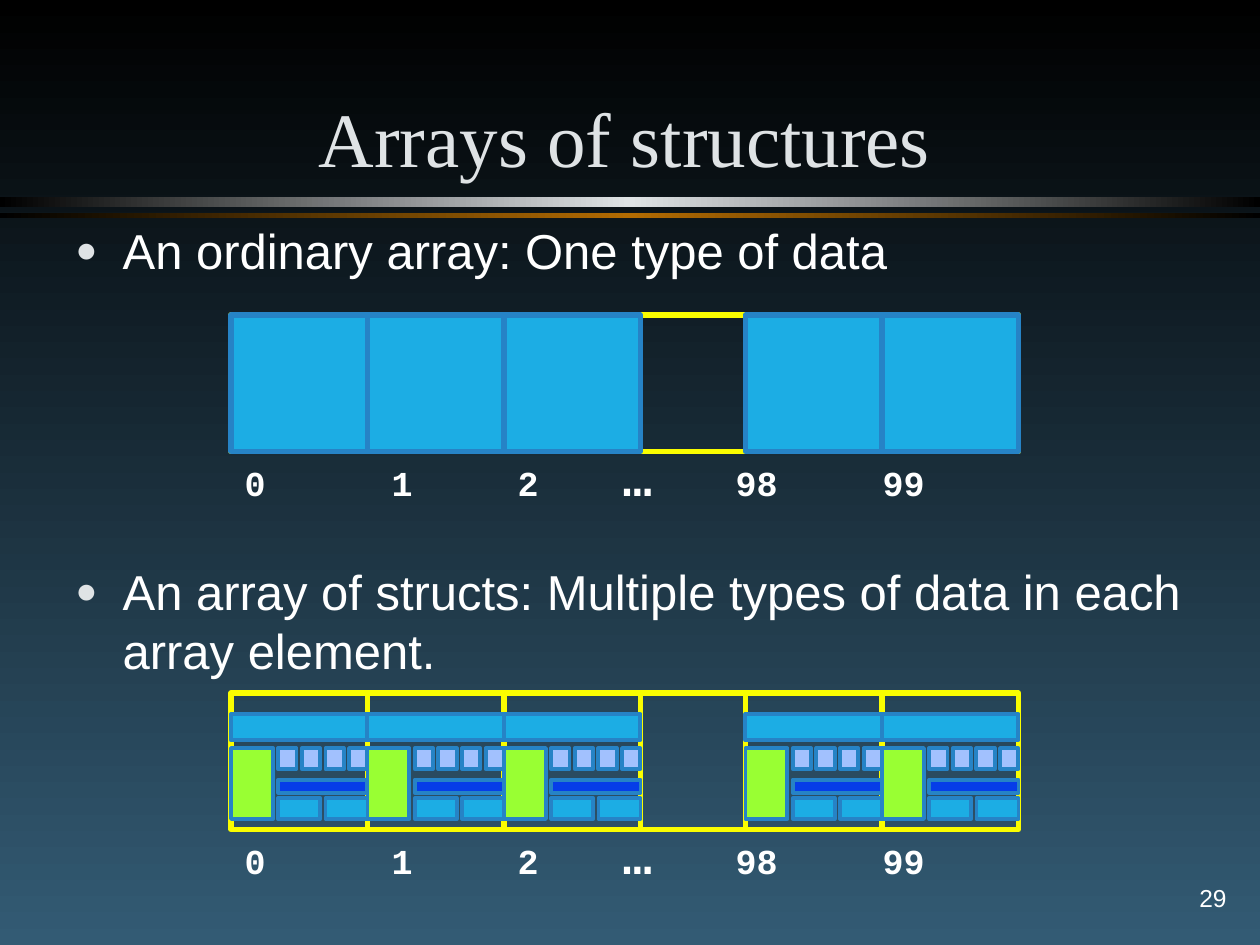
from copy import deepcopy
from dataclasses import dataclass

from pptx import Presentation
from pptx.dml.color import RGBColor
from pptx.enum.shapes import MSO_CONNECTOR, MSO_SHAPE
from pptx.enum.text import MSO_ANCHOR, PP_ALIGN
from pptx.oxml.ns import qn
from pptx.oxml.xmlchemy import OxmlElement
from pptx.util import Emu, Pt

PX = 9525  # 96 px to the inch
RECTANGLE = MSO_SHAPE.RECTANGLE
STRAIGHT = MSO_CONNECTOR.STRAIGHT
TOP, MIDDLE, BOTTOM = MSO_ANCHOR.TOP, MSO_ANCHOR.MIDDLE, MSO_ANCHOR.BOTTOM
LEFT, CENTER, RIGHT = PP_ALIGN.LEFT, PP_ALIGN.CENTER, PP_ALIGN.RIGHT


@dataclass(frozen=True)
class Theme:
    black: str = "000000"
    dusk: str = "335B74"
    silver: str = "DFE3E5"
    bronze: str = "B26B02"
    white: str = "FFFFFF"
    yellow: str = "FAFD00"
    cyan: str = "1CADE4"
    edge: str = "2683C6"
    green: str = "99FF33"
    lilac: str = "A2C1FE"
    blue: str = "063DE8"
    serif: str = "Times New Roman"
    sans: str = "Arial"
    mono: str = "Courier New"
    title_size: int = 44
    body_size: int = 28
    index_size: int = 20
    number_size: int = 14
    cell_line: float = 3
    field_line: float = 2.25


THEME = Theme()


@dataclass(frozen=True)
class Box:
    left: int
    top: int
    width: int
    height: int

    def emu(self) -> list[Emu]:
        return [Emu(v * PX) for v in (self.left, self.top, self.width, self.height)]


@dataclass(frozen=True)
class Field:
    """One member of a struct, placed relative to its array element."""
    box: Box
    color: str


CELL = 104
ARRAY_LEFT, ARRAY_WIDTH = 176, 600
GAP = ARRAY_WIDTH - 5 * CELL
CELL_LEFTS = [ARRAY_LEFT + i * CELL + (GAP if i > 2 else 0) for i in range(5)]
DIVIDERS = CELL_LEFTS[1:3] + [CELL_LEFTS[2] + CELL] + CELL_LEFTS[3:]
INDEX_TABS = (112, 208, 288, 374, 486)

STRUCT_FIELDS = [
    Field(Box(0, 16, CELL, 20), THEME.cyan),
    Field(Box(0, 42, 32, 54), THEME.green),
    *(Field(Box(36 + 18 * i, 42, 14, 16), THEME.lilac) for i in range(4)),
    Field(Box(36, 66, 68, 10), THEME.blue),
    *(Field(Box(36 + 36 * i, 80, 32, 16), THEME.cyan) for i in range(2)),
]


def rgb(color: str) -> RGBColor:
    return RGBColor.from_string(color)


def style_run(run, font: str, size: int, color: str, bold: bool = False) -> None:
    run.font.name, run.font.size, run.font.bold = font, Pt(size), bold
    run.font.color.rgb = rgb(color)


def add_rect(page, box: Box, fill: str | None, line: str | None, weight: float = 0):
    shape = page.shapes.add_shape(RECTANGLE, *box.emu())
    shape.shadow.inherit = False
    if fill:
        shape.fill.solid()
        shape.fill.fore_color.rgb = rgb(fill)
    else:
        shape.fill.background()
    if line:
        shape.line.color.rgb = rgb(line)
        shape.line.width = Pt(weight)
    else:
        shape.line.fill.background()
    return shape


def add_glow_bar(page, box: Box, middle: str) -> None:
    """A horizontal bar that fades to black at both ends."""
    bar = add_rect(page, box, None, None)
    bar.fill.gradient()
    bar.fill.gradient_angle = 0
    stop_list = bar.element.spPr.find(qn("a:gradFill")).find(qn("a:gsLst"))
    stop_list.insert(1, deepcopy(stop_list[0]))
    colors = (THEME.black, middle, THEME.black)
    for i, (stop, color) in enumerate(zip(bar.fill.gradient_stops, colors)):
        stop.position = i / 2
        stop.color.rgb = rgb(color)


def add_divider(page, left: int, top: int) -> None:
    ends = [Emu(v * PX) for v in (left, top, left, top + CELL)]
    line = page.shapes.add_connector(STRAIGHT, *ends)
    line.line.color.rgb = rgb(THEME.yellow)
    line.line.width = Pt(THEME.cell_line)
    line._element.spPr.append(OxmlElement("a:effectLst"))


def add_text_box(page, box: Box, anchor=TOP):
    frame = page.shapes.add_textbox(*box.emu()).text_frame
    frame.word_wrap = True
    frame.vertical_anchor = anchor
    return frame


def add_property(para, tag: str, **attributes: str):
    element = OxmlElement(tag)
    for name, value in attributes.items():
        element.set(name, value)
    para._p.get_or_add_pPr().append(element)
    return element


def add_bullet(para) -> None:
    properties = para._p.get_or_add_pPr()
    properties.set("marL", str(36 * PX))
    properties.set("indent", str(-36 * PX))
    bullet_color = add_property(para, "a:buClr")
    color = OxmlElement("a:srgbClr")
    color.set("val", THEME.silver)
    bullet_color.append(color)
    add_property(para, "a:buSzPct", val="75000")
    add_property(para, "a:buFont", typeface=THEME.sans)
    add_property(para, "a:buChar", char="●")


def add_index_row(page, top: int) -> None:
    para = add_text_box(page, Box(177, top, 611, 55)).paragraphs[0]
    para.space_before = Pt(5)
    tabs = add_property(para, "a:tabLst")
    for position in INDEX_TABS:
        tab = OxmlElement("a:tab")
        tab.set("pos", str(position * PX))
        tab.set("algn", "l")
        tabs.append(tab)
    for text, size in (("0\t1\t2\t", THEME.index_size), ("…", THEME.body_size),
                       ("\t98\t99", THEME.index_size)):
        run = para.add_run()
        run.text = text
        style_run(run, THEME.mono, size, THEME.white, bold=True)


def add_array(page, top: int, fields: list[Field], weight: float) -> None:
    """A framed array whose five shown elements each hold the given fields."""
    add_rect(page, Box(ARRAY_LEFT, top, ARRAY_WIDTH, CELL), None,
             THEME.yellow, THEME.cell_line)
    for left in DIVIDERS:
        add_divider(page, left, top)
    add_index_row(page, top + 96)
    for left in CELL_LEFTS:
        for field in fields:
            box = Box(left + field.box.left, top + field.box.top,
                      field.box.width, field.box.height)
            add_rect(page, box, field.color, THEME.edge, weight)


def add_title(page, text: str) -> None:
    title = page.shapes.title
    title.left, title.top, title.width, title.height = Box(64, 24, 824, 120).emu()
    title.text_frame.text = text
    title.text_frame.vertical_anchor = BOTTOM
    para = title.text_frame.paragraphs[0]
    para.alignment = CENTER
    style_run(para.runs[0], THEME.serif, THEME.title_size, THEME.silver)


def add_body(page) -> None:
    frame = add_text_box(page, Box(48, 168, 880, 504))
    frame.text = ("An ordinary array: One type of data\n"
                  "An array of structs: Multiple types of data in each array element.")
    for para, before, spacing in zip(frame.paragraphs, (7, 161), (0.9, 1.0)):
        para.alignment = LEFT
        para.space_before = Pt(before)
        para.line_spacing = spacing
        add_bullet(para)
        style_run(para.runs[0], THEME.sans, THEME.body_size, THEME.white)


def add_page_number(page, number: str) -> None:
    frame = add_text_box(page, Box(816, 656, 128, 56), MIDDLE)
    frame.text = number
    frame.paragraphs[0].alignment = RIGHT
    style_run(frame.paragraphs[0].runs[0], THEME.sans, THEME.number_size, THEME.white)


def main() -> None:
    deck = Presentation()
    deck.slide_width, deck.slide_height = Emu(960 * PX), Emu(720 * PX)
    page = deck.slides.add_slide(deck.slide_layouts[5])
    backdrop = page.background.fill
    backdrop.gradient()
    backdrop.gradient_angle = 270
    for stop, color in zip(backdrop.gradient_stops, (THEME.black, THEME.dusk)):
        stop.color.rgb = rgb(color)
    add_glow_bar(page, Box(0, 150, 960, 8), THEME.silver)
    add_glow_bar(page, Box(0, 162, 960, 4), THEME.bronze)
    add_page_number(page, "29")
    add_title(page, "Arrays of structures")
    add_body(page)
    add_array(page, 240, [Field(Box(0, 0, CELL, CELL), THEME.cyan)], THEME.cell_line)
    add_array(page, 528, STRUCT_FIELDS, THEME.field_line)
    deck.save("out.pptx")


if __name__ == "__main__":
    main()
